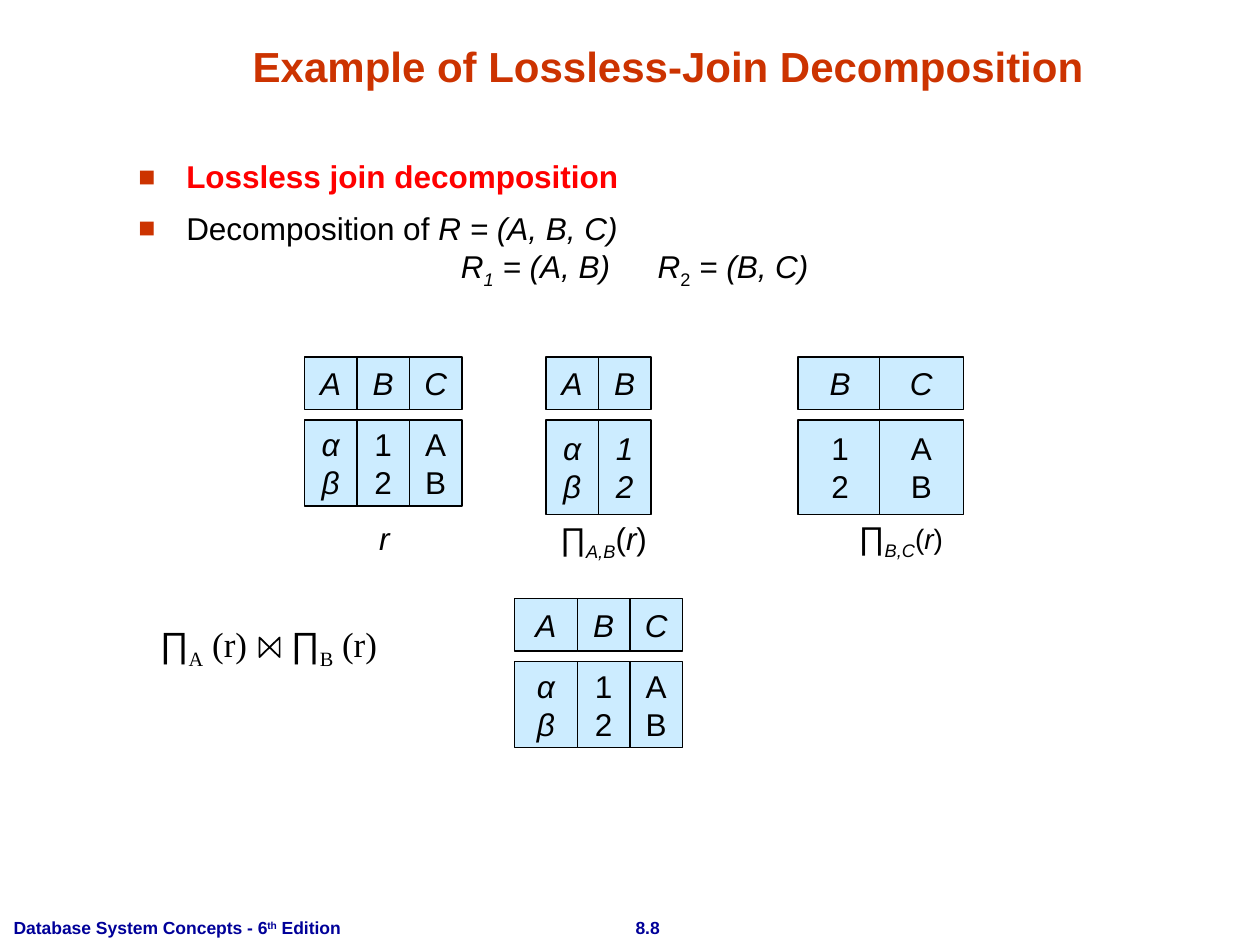
from lxml.etree import SubElement
from pptx import Presentation
from pptx.dml.color import RGBColor
from pptx.enum.shapes import MSO_SHAPE as Shape
from pptx.enum.text import MSO_ANCHOR as Anchor, MSO_AUTO_SIZE as AutoSize, PP_ALIGN as Align
from pptx.oxml.ns import qn
from pptx.util import Inches, Pt

BLACK = RGBColor(0x00, 0x00, 0x00)
RED = RGBColor(0xFF, 0x00, 0x00)
RUST = RGBColor(0xCC, 0x33, 0x00)
NAVY = RGBColor(0x00, 0x00, 0x99)
PALE_BLUE = RGBColor(0xCC, 0xEC, 0xFF)
SERIF = "Times New Roman"

presentation = Presentation()
presentation.slide_width = Inches(10)
presentation.slide_height = Inches(7.5)
slide = presentation.slides.add_slide(presentation.slide_layouts[6])
GRID = presentation.slide_width / 120


def add_run(paragraph, text, size=18, color=BLACK, bold=False, italic=False, base=0, font="Arial"):
    run = paragraph.add_run()
    run.text = text
    run.font.name = font
    run.font.size = Pt(size)
    run.font.bold = bold
    run.font.italic = italic
    run.font.color.rgb = color
    if base:
        run.font._element.set("baseline", str(base * 1000))


def add_text(column, row, width, height, align=Align.LEFT, anchor=Anchor.TOP, wrap=True, grow=False):
    box = slide.shapes.add_textbox(*(round(n * GRID) for n in (column, row, width, height)))
    frame = box.text_frame
    frame.word_wrap = wrap
    frame.auto_size = AutoSize.SHAPE_TO_FIT_TEXT if grow else AutoSize.NONE
    frame.vertical_anchor = anchor
    frame.paragraphs[0].alignment = align
    return frame


page_number = add_text(55.8, 86.76, 11.76, 3.24, Align.CENTER, wrap=False, grow=True)
add_run(page_number.paragraphs[0], "8.8", 10, NAVY, bold=True)

footer = add_text(0.12, 86.76, 34.8, 3.24, wrap=False).paragraphs[0]
for text, base in [("Database System Concepts - 6", 0), ("th", 30), (" Edition", 0)]:
    add_run(footer, text, 10, NAVY, bold=True, base=base)

title = add_text(8.28, 3.36, 112, 6, Align.CENTER, Anchor.BOTTOM).paragraphs[0]
add_run(title, "Example of Lossless-Join Decomposition", 24, RUST, bold=True)
add_run(title, " ", 28, RUST, bold=True)

body = add_text(12, 14.4, 91.8, 15.84)
heading = body.paragraphs[0]
definition = body.add_paragraph()
definition.space_before = Pt(7.9)
for paragraph in (heading, definition):
    properties = paragraph._p.get_or_add_pPr()
    properties.set("marL", str(Inches(0.38)))
    properties.set("indent", str(-Inches(0.38)))
    bullet_color = SubElement(properties, qn("a:buClr"))
    SubElement(bullet_color, qn("a:srgbClr"), val=str(RUST))
    SubElement(properties, qn("a:buSzPct"), val="90000")
    SubElement(properties, qn("a:buFont"), typeface="Arial")
    SubElement(properties, qn("a:buChar"), char="■")
    tabs = SubElement(properties, qn("a:tabLst"))
    for position in (2.56, 4.12):
        SubElement(tabs, qn("a:tab"), pos=str(Inches(position)), algn="l")
add_run(heading, "Lossless join decomposition", color=RED, bold=True)
add_run(definition, "Decomposition of ")
add_run(definition, "R = (A, B, C)", italic=True)
definition.add_line_break()
for text, italic, base in [
    ("\tR", True, 0), ("1", True, -25), (" = (A, B)\tR", True, 0),
    ("2", False, -25), (" = (B, C)", True, 0),
]:
    add_run(definition, text, italic=italic, base=base)

GREEK, DIGITS, LETTERS = "αβ", "12", "AB"
relations = [
    (34, 8.2, [(29, 5, "A", GREEK, True), (34, 5, "B", DIGITS, False), (39, 5, "C", LETTERS, False)]),
    (34, 9, [(52, 5, "A", GREEK, True), (57, 5, "B", DIGITS, True)]),
    (34, 9, [(76, 8, "B", DIGITS, False), (83.75, 8, "C", LETTERS, False)]),
    (57, 8.2, [(49, 6, "A", GREEK, True), (55, 5, "B", DIGITS, False), (60, 5, "C", LETTERS, False)]),
]
for top, value_height, columns in relations:
    for left, width, name, values, values_italic in columns:
        for row, height, lines, italic in [
            (top, 5, name, True), (top + 6, value_height, values, values_italic)
        ]:
            cell = slide.shapes.add_shape(
                Shape.RECTANGLE, *(round(n * GRID) for n in (left, row, width, height)))
            cell.shadow.inherit = False
            cell.fill.solid()
            cell.fill.fore_color.rgb = PALE_BLUE
            cell.line.color.rgb = BLACK
            cell.line.width = Pt(0.75)
            frame = cell.text_frame
            frame.word_wrap = False
            frame.vertical_anchor = Anchor.MIDDLE
            for index, line in enumerate(lines):
                paragraph = frame.add_paragraph() if index else frame.paragraphs[0]
                paragraph.alignment = Align.CENTER
                add_run(paragraph, line, italic=italic)

relation_name = add_text(34.92, 48.84, 3.36, 4.8, Align.CENTER, Anchor.MIDDLE, wrap=False, grow=True)
add_run(relation_name.paragraphs[0], "r", italic=True)

for left, top, width, attributes, size in [
    (48.96, 48.84, 17.04, "A,B", 18), (78.96, 48.72, 13.68, "B,C", 16)
]:
    projection = add_text(left, top, width, 5.28, Align.CENTER, Anchor.MIDDLE, grow=True).paragraphs[0]
    add_run(projection, "∏")
    add_run(projection, attributes, italic=True, base=-25)
    add_run(projection, "(", size)
    add_run(projection, "r", size, italic=True)
    add_run(projection, ")", size)

join = add_text(14.04, 58.68, 33, 11.4).paragraphs[0]
join_tabs = SubElement(join._p.get_or_add_pPr(), qn("a:tabLst"))
SubElement(join_tabs, qn("a:tab"), pos=str(Inches(1.04)), algn="l")
for attribute, argument in [("A", " (r)\t"), ("B", " (r)")]:
    add_run(join, "∏", 20)
    add_run(join, attribute, 20, base=-25, font=SERIF)
    add_run(join, argument, 20, font=SERIF)

left, right, top, bottom = (round(n * GRID) for n in (24.72, 26.64, 60.72, 62.58))
builder = slide.shapes.build_freeform(left, top)
builder.add_line_segments([(left, bottom), (right, top), (right, bottom)], close=True)
bowtie = builder.convert_to_shape()
bowtie.shadow.inherit = False
bowtie.fill.background()
bowtie.line.color.rgb = BLACK
bowtie.line.width = Pt(1)

presentation.save("out.pptx")
